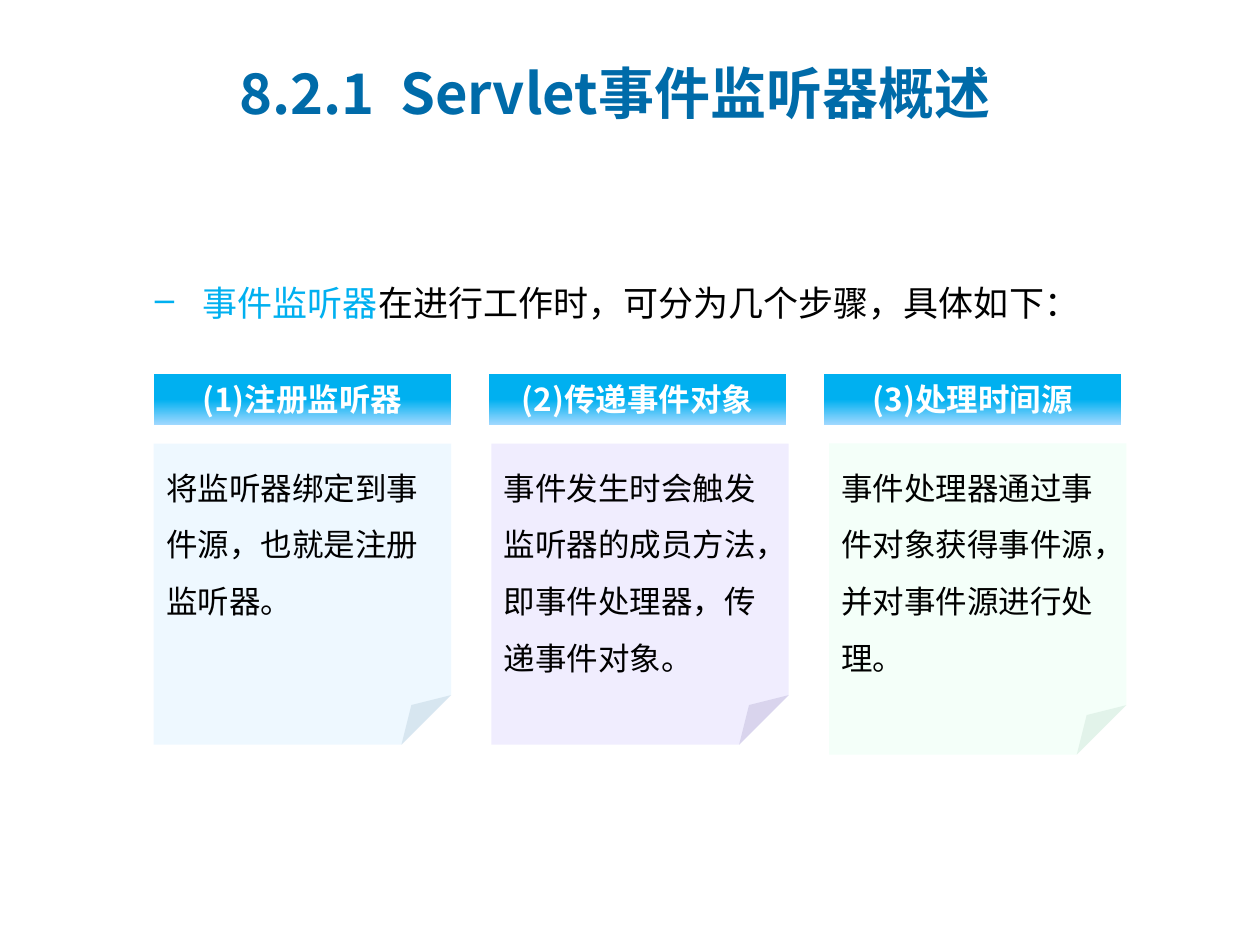
from copy import deepcopy

from lxml import etree
from pptx import Presentation
from pptx.dml.color import RGBColor
from pptx.enum.shapes import MSO_SHAPE
from pptx.enum.text import MSO_ANCHOR, PP_ALIGN
from pptx.oxml.ns import qn
from pptx.util import Inches, Pt

RECTANGLE = MSO_SHAPE.RECTANGLE
FOLDED_CORNER = MSO_SHAPE.FOLDED_CORNER
TOP, MIDDLE = MSO_ANCHOR.TOP, MSO_ANCHOR.MIDDLE
LEFT, CENTER = PP_ALIGN.LEFT, PP_ALIGN.CENTER

FONT = "Noto Sans CJK SC"
BLACK = RGBColor(0x00, 0x00, 0x00)
WHITE = RGBColor(0xFF, 0xFF, 0xFF)
TITLE_BLUE = RGBColor(0x00, 0x6B, 0xA9)
SKY = RGBColor(0x00, 0xB0, 0xF0)
PALE_SKY = RGBColor(0x9F, 0xD8, 0xFF)
NOTE_BLUE = RGBColor(0xC5, 0xE8, 0xFF)
NOTE_VIOLET = RGBColor(0xD1, 0xC7, 0xFD)
NOTE_GREEN = RGBColor(0xCD, 0xFF, 0xE4)

STEPS = [
    ("(1)注册监听器", "将监听器绑定到事件源，也就是注册监听器。", NOTE_BLUE, 28, 2.39),
    ("(2)传递事件对象", "事件发生时会触发监听器的成员方法，即事件处理器，传递事件对象。", NOTE_VIOLET, 31, 2.39),
    ("(3)处理时间源", "事件处理器通过事件对象获得事件源，并对事件源进行处理。", NOTE_GREEN, 22, 2.47),
]
STEP_LEFT, STEP_WIDTH = 1.22, 2.36
HEADER_PITCH, NOTE_PITCH = 2.66, 2.68


def write(holder, *parts, size=18, bold=False, align=LEFT, anchor=TOP, spacing=1.0):
    frame = holder.text_frame
    frame.word_wrap = True
    frame.vertical_anchor = anchor
    paragraph = frame.paragraphs[0]
    paragraph.alignment = align
    paragraph.line_spacing = spacing
    for text, color in parts:
        run = paragraph.add_run()
        run.text = text
        run.font.name = FONT
        run.font.size = Pt(size)
        run.font.bold = bold
        run.font.color.rgb = color
        etree.SubElement(run.font._element, qn("a:ea"), typeface=FONT)
    return paragraph


def add_textbox(slide, left, top, width, height):
    return slide.shapes.add_textbox(Inches(left), Inches(top), Inches(width), Inches(height))


def add_panel(slide, preset, left, top, height):
    panel = slide.shapes.add_shape(
        preset, Inches(left), Inches(top), Inches(STEP_WIDTH), Inches(height)
    )
    panel.shadow.inherit = False
    panel.line.fill.background()
    return panel


def add_title(slide):
    title = add_textbox(slide, 1.8, 0.43, 7.14, 0.61)
    write(title, ("8.2.1  Servlet事件监听器概述", TITLE_BLUE), size=32, bold=True, anchor=MIDDLE)


def add_intro(slide):
    intro = add_textbox(slide, 1.13, 2.02, 7.59, 0.61)
    paragraph = write(
        intro,
        ("事件监听器", SKY),
        ("在进行工作时，可分为几个步骤，具体如下：", BLACK),
        size=20,
        spacing=1.5,
    )
    properties = paragraph._p.get_or_add_pPr()
    properties.set("marL", str(Inches(0.38)))
    properties.set("indent", str(Inches(-0.38)))
    etree.SubElement(properties, qn("a:buChar"), char="–")


def add_header(slide, left, text):
    header = add_panel(slide, RECTANGLE, left, 2.97, 0.4)
    header.fill.gradient()
    header.fill.gradient_angle = 270
    first, last = header.fill.gradient_stops
    first.color.rgb, first.position = SKY, 0
    last.color.rgb, last.position = PALE_SKY, 1
    first_stop = next(header._element.iter(qn("a:gs")))
    middle_stop = deepcopy(first_stop)
    middle_stop.set("pos", "50000")
    first_stop.addnext(middle_stop)
    write(header, (text, WHITE), bold=True, align=CENTER, anchor=MIDDLE)


def add_note(slide, left, height, text, color, opacity):
    note = add_panel(slide, FOLDED_CORNER, left, 3.52, height)
    note.fill.solid()
    note.fill.fore_color.rgb = color
    fill_color = note._element.spPr.find(qn("a:solidFill")).find(qn("a:srgbClr"))
    etree.SubElement(fill_color, qn("a:alpha"), val=str(opacity * 1000))
    write(note, (text, BLACK), spacing=1.5)


def main():
    deck = Presentation()
    deck.slide_width, deck.slide_height = Inches(10), Inches(7.5)
    slide = deck.slides.add_slide(deck.slide_layouts[6])
    add_title(slide)
    add_intro(slide)
    for index, (heading, detail, color, opacity, height) in enumerate(STEPS):
        add_header(slide, STEP_LEFT + index * HEADER_PITCH, heading)
        add_note(slide, STEP_LEFT + index * NOTE_PITCH, height, detail, color, opacity)
    deck.save("out.pptx")


if __name__ == "__main__":
    main()
